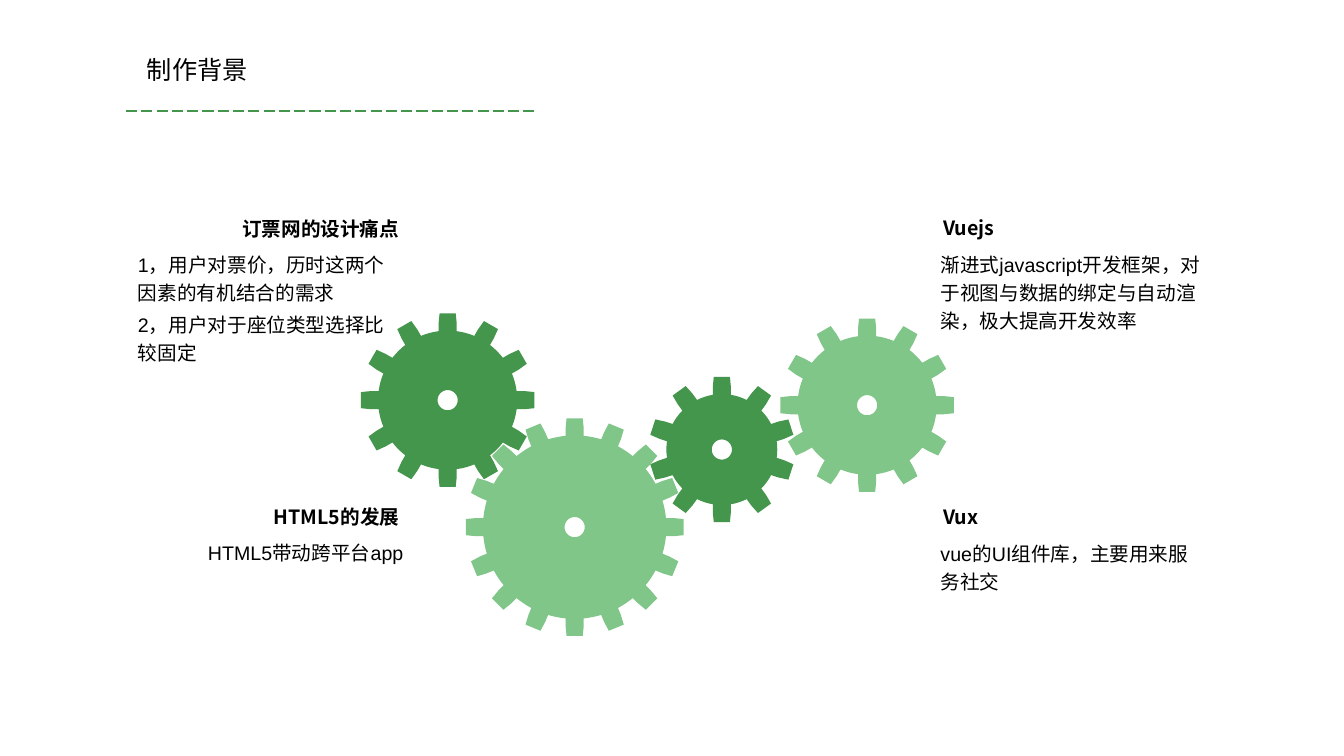
from math import asin, cos, pi, sin

from lxml import etree
from pptx import Presentation
from pptx.dml.color import RGBColor
from pptx.enum.dml import MSO_LINE
from pptx.enum.shapes import MSO_CONNECTOR
from pptx.enum.text import MSO_ANCHOR, MSO_AUTO_SIZE, PP_ALIGN
from pptx.oxml.ns import qn
from pptx.util import Pt

PX = 9144
LEFT, RIGHT = PP_ALIGN.LEFT, PP_ALIGN.RIGHT
TOP = MSO_ANCHOR.TOP
GROW = MSO_AUTO_SIZE.SHAPE_TO_FIT_TEXT
STRAIGHT = MSO_CONNECTOR.STRAIGHT
LONG_DASH = MSO_LINE.LONG_DASH

DARK_GREEN = "43964C"
LIGHT_GREEN = "80C688"
BLACK = "000000"
HEADING_FONT = "Noto Sans CJK SC"
BODY_FONT = "Arial"

TOOTH_DEPTH = 17
TOOTH_HALF_WIDTH = 9
TIP_HALF_WIDTH = 8
HOLE_RADIUS = 10
HOLE_POINTS = 32
ARC_STEPS = 4

GEARS = [
    (444, 397, 86, 12, DARK_GREEN),
    (570, 523, 108, 16, LIGHT_GREEN),
    (716, 446, 72, 10, DARK_GREEN),
    (860, 402, 86, 12, LIGHT_GREEN),
]
HEADINGS = [
    ("订票网的设计痛点", 136, 210, 270, RIGHT),
    ("Vuejs", 926, 209, 153, LEFT),
    ("Vux", 926, 496, 153, LEFT),
    ("HTML5的发展", 253, 496, 153, RIGHT),
]
BODIES = [
    (["1，用户对票价，历时这两个 因素的有机结合的需求",
      "2，用户对于座位类型选择比较固定"], 127, 241, 15, LEFT),
    (["渐进式javascript开发框架，对于视图与数据的绑定与自动渲染，极大提高开发效率"],
     923, 241, 321, LEFT),
    (["vue的UI组件库，主要用来服务社交"], 923, 528, 66, LEFT),
    (["HTML5带动跨平台app"], 127, 527, 38, RIGHT),
]


def color(hex_string):
    return RGBColor.from_string(hex_string)


def polar(center_x, center_y, radius, angle):
    return (round((center_x + radius * cos(angle)) * PX),
            round((center_y + radius * sin(angle)) * PX))


def gear_outline(center_x, center_y, radius, teeth):
    root = radius - TOOTH_DEPTH
    half_angle = asin(TOOTH_HALF_WIDTH / root)
    pitch = 2 * pi / teeth
    gap = pitch - 2 * half_angle
    shoulder = radius - 10
    profile = [(shoulder, -TOOTH_HALF_WIDTH), (radius, -TIP_HALF_WIDTH),
               (radius, TIP_HALF_WIDTH), (shoulder, TOOTH_HALF_WIDTH)]
    points = []
    for tooth in range(teeth):
        angle = tooth * pitch - pi / 2
        for along, across in profile:
            x = center_x + along * cos(angle) - across * sin(angle)
            y = center_y + along * sin(angle) + across * cos(angle)
            points.append((round(x * PX), round(y * PX)))
        for step in range(ARC_STEPS + 1):
            arc_angle = angle + half_angle + gap * step / ARC_STEPS
            points.append(polar(center_x, center_y, root, arc_angle))
    return points


def add_gear(page, center_x, center_y, radius, teeth, fill):
    outline = gear_outline(center_x, center_y, radius, teeth)
    hole = [polar(center_x, center_y, HOLE_RADIUS, -2 * pi * index / HOLE_POINTS)
            for index in range(HOLE_POINTS)]
    builder = page.shapes.build_freeform(*outline[0])
    builder.add_line_segments(outline[1:], close=True)
    builder.move_to(*hole[0])
    builder.add_line_segments(hole[1:], close=True)
    gear = builder.convert_to_shape()
    gear.shadow.inherit = False
    gear.fill.solid()
    gear.fill.fore_color.rgb = color(fill)
    gear.line.fill.background()


def add_text(page, lines, left, top, width, height, align, size, font, bold=False):
    box = page.shapes.add_textbox(left * PX, top * PX, width * PX, height * PX)
    frame = box.text_frame
    frame.word_wrap = True
    frame.auto_size = GROW
    frame.vertical_anchor = TOP
    frame.text = "\n".join(lines)
    for para in frame.paragraphs:
        para.alignment = align
        para.font.name = font
        para.font.size = Pt(size)
        para.font.bold = bold
        para.font.color.rgb = color(BLACK)
    return box


def add_body(page, lines, left, top, height, align):
    box = add_text(page, lines, left, top, 283, height, align, 14, BODY_FONT)
    for para in box.text_frame.paragraphs:
        para.line_spacing = 1.2
        para.space_before = Pt(2.8)


def add_dashed_rule(page, left, right, y):
    rule = page.shapes.add_connector(STRAIGHT, left * PX, y * PX, right * PX, y * PX)
    rule.line.color.rgb = color(DARK_GREEN)
    rule.line.width = Pt(1)
    rule.line.dash_style = LONG_DASH
    etree.SubElement(rule._element.spPr, qn("a:effectLst"))


def main():
    deck = Presentation()
    deck.slide_width = 1333 * PX
    deck.slide_height = 750 * PX
    page = deck.slides.add_slide(deck.slide_layouts[6])
    for gear in GEARS:
        add_gear(page, *gear)
    for text, left, top, width, align in HEADINGS:
        add_text(page, [text], left, top, width, 34, align, 14, HEADING_FONT, True)
    for body in BODIES:
        add_body(page, *body)
    add_text(page, ["制作背景"], 136, 49, 397, 40, LEFT, 18, HEADING_FONT)
    add_dashed_rule(page, 125, 533, 110)
    deck.save("out.pptx")


if __name__ == "__main__":
    main()
